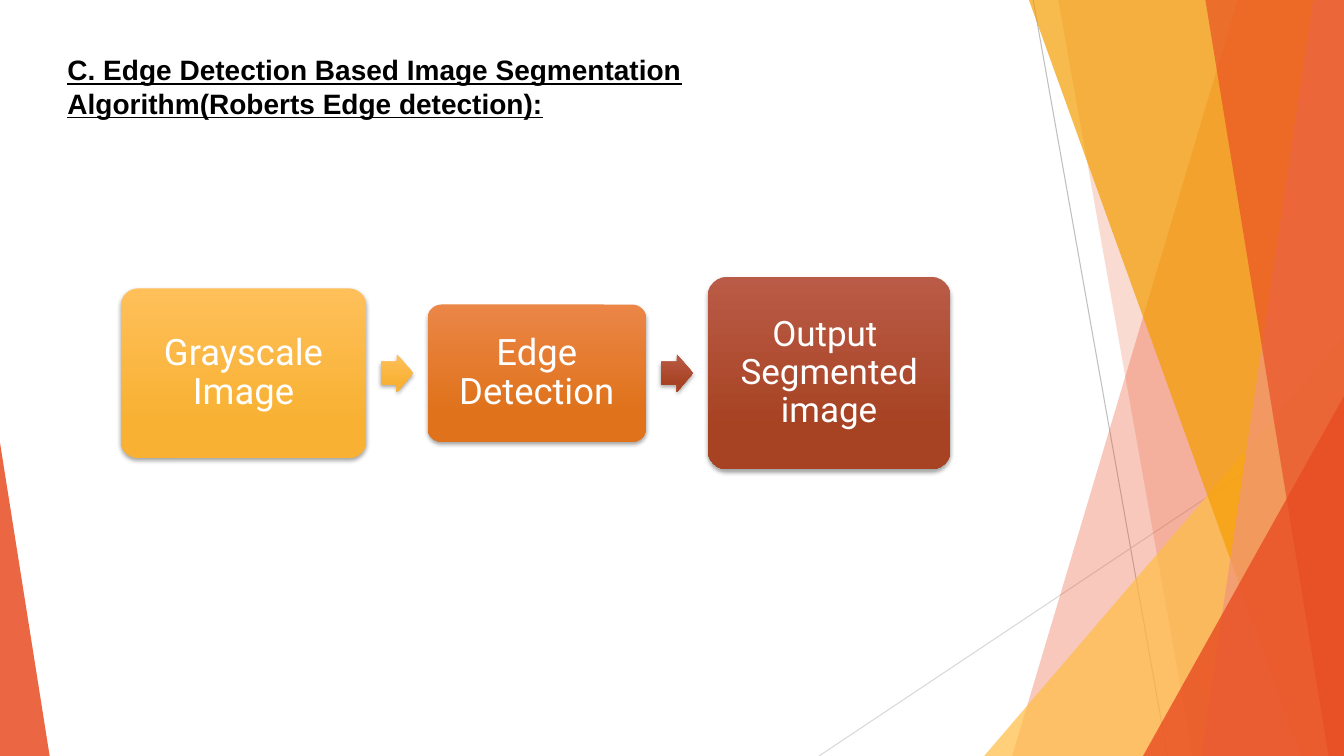
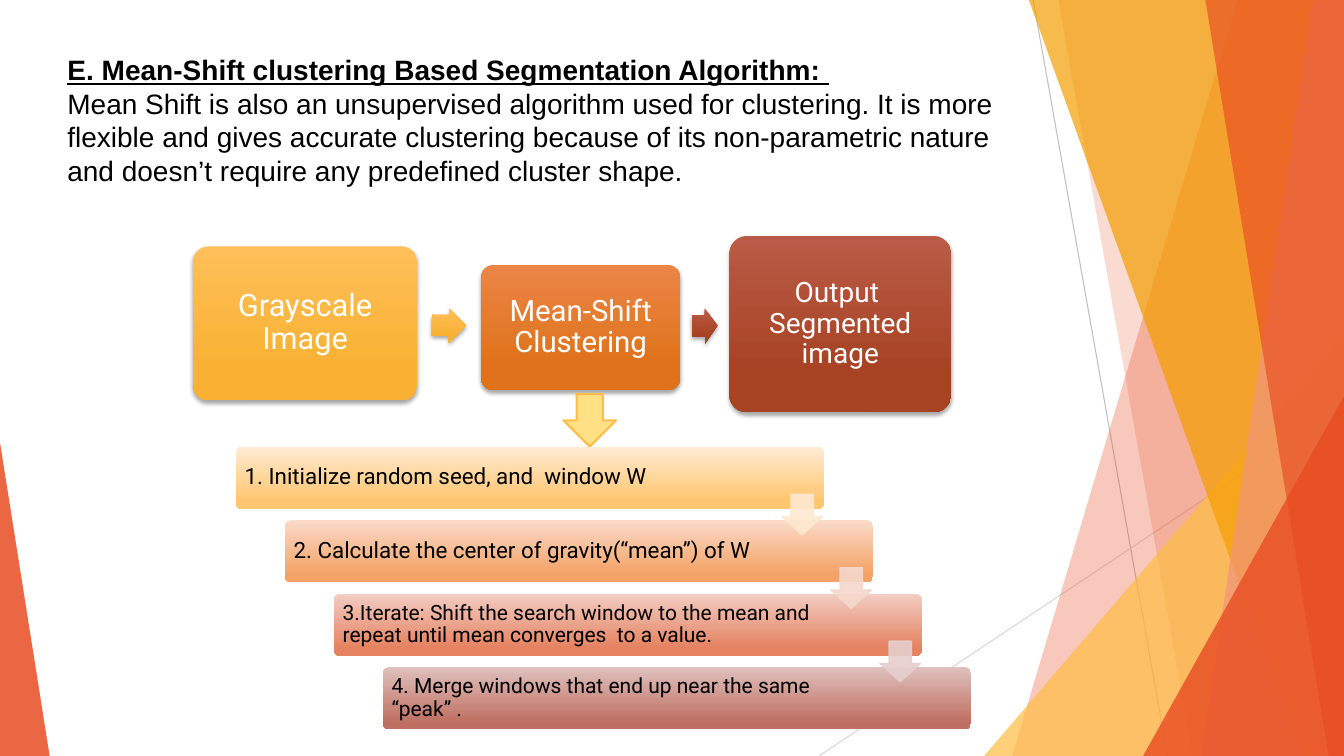
from dataclasses import dataclass
from math import atan2, degrees

from lxml import etree
from pptx import Presentation
from pptx.dml import color
from pptx.enum import shapes, text
from pptx.oxml import ns
from pptx.util import Pt

WIDTH, HEIGHT = 960, 540
TITLE_LEFT, TITLE_TOP, TITLE_LINE = 41, 34, 24
TITLE_FONT, DIAGRAM_FONT = "Arial", "Roboto"
BLACK, WHITE = "000000", "FFFFFF"
RED, AMBER, ORANGE, SALMON = "E84C22", "FFBD47", "F49D00", "F1947A"
STAGE_GRADIENTS = [("FFC05A", "F8B133"), ("EB8647", "DF721B"), ("BA5B47", "A74323")]
ARROW_GRADIENTS = [STAGE_GRADIENTS[0], STAGE_GRADIENTS[2]]
STEP_GRADIENTS = [("FFEBD3", "FFC56F"), ("FADBCA", "F4A265"),
                  ("F3CDC4", "E58260"), ("DFC1BD", "BF7062")]
STEP_ARROW_COLORS = ["FFE8CF", "F5D8CC", "E6CFCD"]


@dataclass
class Stage:
    """A flow box; drop lowers its centre below the axis of the flow."""
    label: str
    size: float
    width: float
    height: float
    drop: float = 0


def rgb(value):
    return color.RGBColor.from_string(value)


def points(*lengths):
    return [Pt(length) for length in lengths]


def fill_solid(shape, fill, opacity=100, line=None, line_width=1):
    shape.shadow.inherit = False
    shape.fill.solid()
    shape.fill.fore_color.rgb = rgb(fill)
    if line:
        shape.line.color.rgb = rgb(line)
        shape.line.width = Pt(line_width)
    else:
        shape.line.fill.background()
    if opacity < 100:
        for node in list(shape._element.spPr.iter(ns.qn("a:srgbClr"))):
            etree.SubElement(node, ns.qn("a:alpha")).set("val", str(opacity * 1000))


def fill_gradient(shape, colors, end):
    """Fill from top to bottom, reaching the second colour at end."""
    shape.shadow.inherit = False
    shape.line.fill.background()
    shape.fill.gradient()
    shape.fill.gradient_angle = 270
    for stop, value, position in zip(shape.fill.gradient_stops, colors, (0, end)):
        stop.color.rgb = rgb(value)
        stop.position = position


def add_shadow(shape):
    effects = shape._element.spPr.find(ns.qn("a:effectLst"))
    shadow = etree.SubElement(effects, ns.qn("a:outerShdw"), blurRad=str(Pt(3)),
                              dist=str(Pt(2)), dir="5400000", rotWithShape="0")
    tint = etree.SubElement(shadow, ns.qn("a:srgbClr"), val=BLACK)
    etree.SubElement(tint, ns.qn("a:alpha"), val="35000")


def add_preset(parent, kind, box, adjustments=()):
    shape = parent.shapes.add_shape(kind, *points(*box))
    for index, value in enumerate(adjustments):
        shape.adjustments[index] = value
    return shape


def write(shape, content, size, font, ink, align, anchor, margins, spacing, bold=False):
    frame = shape.text_frame
    frame.text = content
    frame.word_wrap = True
    frame.auto_size = text.MSO_AUTO_SIZE.NONE
    frame.vertical_anchor = anchor
    (frame.margin_left, frame.margin_top,
     frame.margin_right, frame.margin_bottom) = points(*margins)
    for paragraph in frame.paragraphs:
        paragraph.alignment = align
        paragraph.line_spacing = spacing
        for run in paragraph.runs:
            run.font.name = font
            run.font.size = Pt(size)
            run.font.bold = run.font.underline = bold
            run.font.color.rgb = rgb(ink)


def write_heading(shape, content, box, bold):
    shape.left, shape.top, shape.width, shape.height = points(*box)
    write(shape, content, 20, TITLE_FONT, BLACK, text.PP_ALIGN.LEFT,
          text.MSO_ANCHOR.TOP, (7.2, 3.6, 7.2, 3.6), Pt(TITLE_LINE), bold)


def add_ray(group, start, end, ink):
    ray = group.shapes.add_connector(shapes.MSO_CONNECTOR.STRAIGHT, *points(*start, *end))
    ray.line.color.rgb = rgb(ink)
    ray.line.width = Pt(0.75)
    etree.SubElement(ray._element.spPr, ns.qn("a:effectLst"))


def add_band(group, top_x, bottom_x, fill, opacity):
    """Band from a slanted left edge to the right edge of the slide."""
    outline = group.shapes.build_freeform(Pt(top_x), 0, 1.0)
    outline.add_line_segments([points(WIDTH, 0), points(WIDTH, HEIGHT),
                               points(bottom_x, HEIGHT)], close=True)
    fill_solid(outline.convert_to_shape(), fill, opacity)


def add_corner(group, left, width, height, apex, fill, opacity):
    """Right-angled triangle standing on the bottom edge of the slide."""
    corner = add_preset(group, shapes.MSO_SHAPE.ISOSCELES_TRIANGLE,
                        (left, HEIGHT - height, width, height), [apex])
    fill_solid(corner, fill, opacity)


def move_backdrop_to_layout(slide):
    """Draw the shared backdrop and hand it to the layout of the slide."""
    group = slide.shapes.add_group_shape()
    add_ray(group, (738, 0), (834, HEIGHT), "BFBFBF")
    add_ray(group, (WIDTH, 290), (585, HEIGHT), "D9D9D9")
    add_band(group, 884, 723, RED, 30)
    add_band(group, 756, 852, RED, 20)
    add_corner(group, 703, 257, 300, 1, AMBER, 72)
    add_band(group, 735, 929.5, ORANGE, 70)
    add_band(group, 938, 858, SALMON, 70)
    add_band(group, 861, 949, RED, 65)
    add_corner(group, 816.5, 143.5, 257, 1, RED, 80)
    add_corner(group, 0, 35.5, 224, 0, RED, 85)
    for number, node in enumerate(group._element.iter(ns.qn("p:cNvPr")), start=100):
        node.set("id", str(number))
    slide.slide_layout.shapes._spTree.insert(2, group._element)


def add_titled_slide(presentation, title, width, height):
    slide = presentation.slides.add_slide(presentation.slide_layouts[5])
    write_heading(slide.shapes.title, title, (TITLE_LEFT, TITLE_TOP, width, height), True)
    return slide


def add_flow(slide, left, axis, stages, arrows, arrow_height, inset):
    """Row of stages; arrows holds the width and side gap of each arrow."""
    centers = []
    for index, stage in enumerate(stages):
        middle = axis + stage.drop
        box = add_preset(slide, shapes.MSO_SHAPE.ROUNDED_RECTANGLE,
                         (left, middle - stage.height / 2, stage.width, stage.height), [0.1])
        fill_gradient(box, STAGE_GRADIENTS[index], 0.78)
        add_shadow(box)
        write(box, stage.label, stage.size, DIAGRAM_FONT, WHITE, text.PP_ALIGN.CENTER,
              text.MSO_ANCHOR.MIDDLE, [inset] * 4, 0.9)
        centers.append((left + stage.width / 2, middle))
        left += stage.width
        if index < len(arrows):
            width, gap = arrows[index]
            centers_gap = stage.width / 2 + width + 2 * gap + stages[index + 1].width / 2
            fall = stages[index + 1].drop - stage.drop
            arrow = add_preset(slide, shapes.MSO_SHAPE.RIGHT_ARROW,
                               (left + gap, middle + fall / 2 - arrow_height / 2,
                                width, arrow_height), [0.6, 0.5])
            arrow.rotation = degrees(atan2(fall, centers_gap))
            fill_gradient(arrow, ARROW_GRADIENTS[index], 0.78)
            add_shadow(arrow)
            left += width + 2 * gap


def add_staircase(slide, left, top, steps):
    """Bars that each start lower and further right, joined by arrows."""
    width, height, shift, drop, arrow_side = 420, 44.5, 35, 52.5, 29
    for index, (label, size) in enumerate(steps):
        bar = add_preset(slide, shapes.MSO_SHAPE.ROUNDED_RECTANGLE,
                         (left + index * shift, top + index * drop, width, height), [0.1])
        fill_gradient(bar, STEP_GRADIENTS[index], 0.88)
        write(bar, label, size, DIAGRAM_FONT, BLACK, text.PP_ALIGN.LEFT,
              text.MSO_ANCHOR.MIDDLE, (5, 5, 69, 5), 0.9)
    for index, ink in enumerate(STEP_ARROW_COLORS):
        arrow = add_preset(slide, shapes.MSO_SHAPE.DOWN_ARROW,
                           (left + 390 + index * shift, top + 34 + index * drop,
                            arrow_side, arrow_side), [0.55, 0.45])
        fill_solid(arrow, ink, 90, line=ink)


def build_edge_detection(presentation):
    slide = add_titled_slide(
        presentation,
        "C. Edge Detection Based Image Segmentation Algorithm(Roberts Edge detection):",
        580, 55.5)
    add_flow(slide, 86.5, 266.5, [
        Stage("Grayscale Image", 26, 175, 121),
        Stage("Edge Detection", 26, 156, 98),
        Stage("Output  Segmented image", 25, 173.5, 137.5),
    ], [(23, 10.5), (23, 10.5)], 27, 8)
    return slide


def build_mean_shift(presentation):
    width = 697
    slide = add_titled_slide(
        presentation, "E. Mean-Shift clustering Based Segmentation Algorithm: ", width, 31)
    box = (TITLE_LEFT, TITLE_TOP + TITLE_LINE, width, 80)
    write_heading(slide.shapes.add_textbox(*points(*box)),
                  "Mean Shift is also an unsupervised algorithm used for clustering. "
                  "It is more flexible and gives accurate clustering because of its "
                  "non-parametric nature and doesn’t require any predefined cluster shape.",
                  box, False)
    add_flow(slide, 138, 231, [
        Stage("Grayscale Image", 22, 160, 110),
        Stage("Mean-Shift Clustering", 21, 142.5, 89.5, 3),
        Stage("Output  Segmented image", 20, 158.5, 126, 0.5),
    ], [(24.5, 10.5), (18, 8.5)], 25, 6.5)
    detail_arrow = add_preset(slide, shapes.MSO_SHAPE.DOWN_ARROW, (402.5, 281.5, 37.5, 37.5))
    fill_solid(detail_arrow, "FFE085", line=AMBER, line_width=1.5)
    add_staircase(slide, 168.5, 319, [
        ("1. Initialize random seed, and  window W", 16),
        ("2. Calculate the center of gravity(“mean”) of W", 16),
        ("3.Iterate: Shift the search window to the mean and repeat until mean "
         "converges  to a value.", 15),
        ("4. Merge windows that end up near the same “peak” .", 15),
    ])


def main():
    presentation = Presentation()
    presentation.slide_width, presentation.slide_height = points(WIDTH, HEIGHT)
    move_backdrop_to_layout(build_edge_detection(presentation))
    build_mean_shift(presentation)
    presentation.save("out.pptx")


if __name__ == "__main__":
    main()
